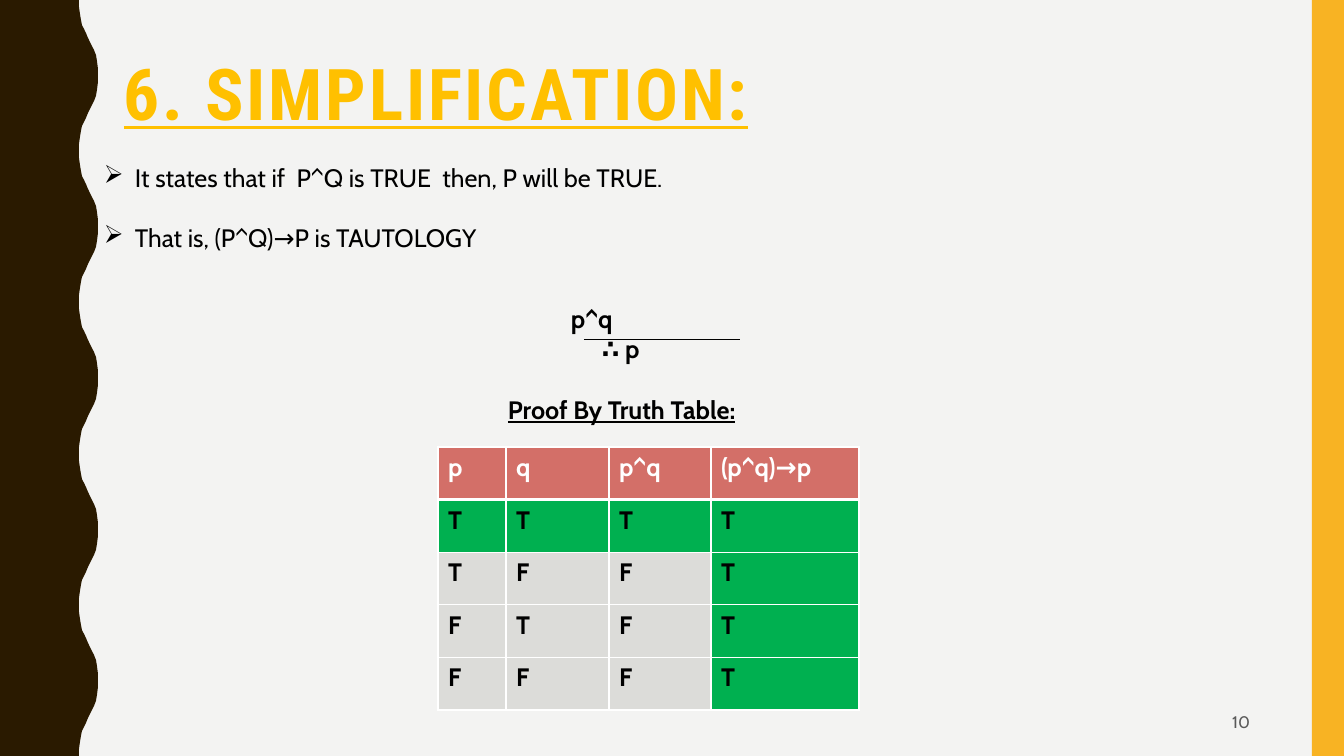
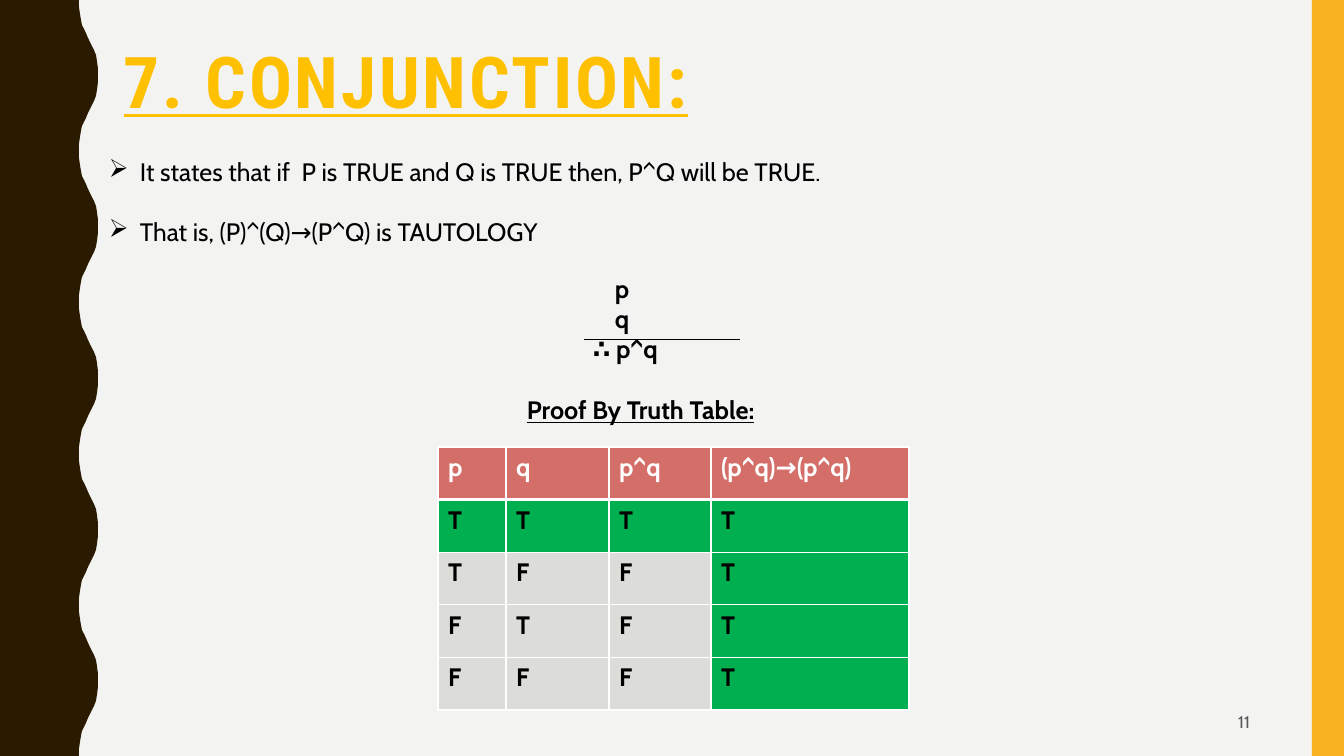
from dataclasses import dataclass

from lxml.etree import SubElement
from pptx import Presentation
from pptx.dml.color import RGBColor as RGB
from pptx.enum.shapes import MSO_CONNECTOR, MSO_SHAPE
from pptx.enum.text import MSO_ANCHOR, PP_ALIGN
from pptx.oxml.ns import qn
from pptx.util import Pt

EMU_PER_PX = 914400 / 100.8
WIDTH, HEIGHT = 1344, 756


@dataclass(frozen=True)
class Theme:
    paper: RGB = RGB(0xF3, 0xF3, 0xF2)
    wave: RGB = RGB(0x2A, 0x1A, 0x00)
    band: RGB = RGB(0xF8, 0xB3, 0x23)
    title: RGB = RGB(0xFF, 0xC0, 0x00)
    text: RGB = RGB(0x00, 0x00, 0x00)
    number: RGB = RGB(0x59, 0x59, 0x59)
    header: RGB = RGB(0xD3, 0x6F, 0x68)
    marked: RGB = RGB(0x00, 0xB0, 0x50)
    plain: RGB = RGB(0xDC, 0xDC, 0xD9)
    white: RGB = RGB(0xFF, 0xFF, 0xFF)
    title_font: str = "Roboto Condensed"
    body_font: str = "Cabin"
    title_size: int = 51
    body_size: int = 18
    number_size: int = 12


THEME = Theme()

# One half of a wave as (x, y); the other half mirrors it
HALF_WAVE = [(79, 0), (79, 7), (80, 14), (81, 20), (82, 25), (84, 29), (86, 33), (88, 38),
             (90, 42), (92, 46), (94, 50), (96, 55), (97, 61), (98, 69), (98, 76)]
WAVE_COUNT = 5
WAVE_HEIGHT = HEIGHT / WAVE_COUNT

BULLET_INDENT = 31
PROOF_INDENT = 163
COLUMN_WIDTHS = [68, 103, 102]
TRUTH_ROWS = ["TTTT", "TFFT", "FTFT", "FFFT"]

# Argument lines are (indent, text)
RULES = [
    dict(number="10", title="6. SIMPLIFICATION:", title_top=54, bullets_at=(94, 127),
         bullets=["It states that if  P^Q is TRUE  then, P will be TRUE.",
                  "That is, (P^Q)→P is TAUTOLOGY"],
         argument_at=(335, 298), argument=[(226, "p^q"), (257, "∴ p")],
         conclusion="(p^q)→p", conclusion_width=148),
    dict(number="11", title="7. CONJUNCTION:", title_top=42, bullets_at=(99, 121),
         bullets=["It states that if  P is TRUE and Q is TRUE then, P^Q will be TRUE.",
                  "That is, (P)^(Q)→(P^Q) is TAUTOLOGY"],
         argument_at=(354, 268), argument=[(251, "p"), (251, "q"), (229, "∴ p^q")],
         conclusion="(p^q)→(p^q)", conclusion_width=198),
]


def px(length):
    return round(length * EMU_PER_PX)


def add_text(slide, box, lines, color=THEME.text, size=THEME.body_size,
             font=THEME.body_font, bold=False):
    """Add a wrapping text box with one paragraph per line; return its text frame."""
    frame = slide.shapes.add_textbox(*map(px, box)).text_frame
    frame.word_wrap = True
    frame.text = "\n".join(lines)
    for paragraph in frame.paragraphs:
        paragraph.font.name = font
        paragraph.font.size = Pt(size)
        paragraph.font.bold = bold
        paragraph.font.color.rgb = color
    return frame


presentation = Presentation()
presentation.slide_width, presentation.slide_height = px(WIDTH), px(HEIGHT)
background = presentation.slide_master.background.fill
background.solid()
background.fore_color.rgb = THEME.paper

wave_points = []
for wave in range(WAVE_COUNT):
    top = wave * WAVE_HEIGHT
    wave_points += [(x, top + y) for x, y in HALF_WAVE]
    wave_points += [(x, top + WAVE_HEIGHT - y) for x, y in reversed(HALF_WAVE)]

for rule in RULES:
    slide = presentation.slides.add_slide(presentation.slide_layouts[6])

    # Side decoration
    builder = slide.shapes.build_freeform(0, 0, scale=EMU_PER_PX)
    builder.add_line_segments(wave_points + [(0, HEIGHT)], close=True)
    wavy_edge = builder.convert_to_shape()
    band = slide.shapes.add_shape(MSO_SHAPE.RECTANGLE, px(1312), 0, px(32), px(HEIGHT))
    for shape, color in [(wavy_edge, THEME.wave), (band, THEME.band)]:
        shape.shadow.inherit = False
        shape.fill.solid()
        shape.fill.fore_color.rgb = color
        shape.line.fill.background()

    # Title and slide number
    title = add_text(slide, (114, rule["title_top"], 940, 99), [rule["title"]],
                     THEME.title, THEME.title_size, THEME.title_font, bold=True)
    paragraph = title.paragraphs[0]
    paragraph.line_spacing = 0.9
    paragraph.font.underline = True
    paragraph.runs[0].font._element.set("spc", "200")

    number = add_text(slide, (950, 703, 310, 38), [rule["number"]],
                      THEME.number, THEME.number_size)
    number.vertical_anchor = MSO_ANCHOR.MIDDLE
    number.paragraphs[0].alignment = PP_ALIGN.RIGHT

    # Statement of the rule
    bullets = add_text(slide, (*rule["bullets_at"], 1233, 132), rule["bullets"])
    for paragraph in bullets.paragraphs:
        paragraph.line_spacing = 2.0
        properties = paragraph._p.get_or_add_pPr()
        properties.set("marL", str(px(BULLET_INDENT)))
        properties.set("indent", str(-px(BULLET_INDENT)))
        bullet = SubElement(properties, qn("a:buChar"), char="➢")
        properties.find(qn("a:defRPr")).addprevious(bullet)

    # Argument form, then the heading of the table
    lines = rule["argument"] + [(PROOF_INDENT, "Proof By Truth Table:")]
    left, top = rule["argument_at"]
    argument = add_text(slide, (left, top, 670, 430 - top), [text for _, text in lines], bold=True)
    for paragraph, (indent, _) in zip(argument.paragraphs, lines):
        paragraph._p.get_or_add_pPr().set("marL", str(px(indent)))
    paragraph.space_before = Pt(22)
    paragraph.font.underline = True

    # Truth table
    widths = COLUMN_WIDTHS + [rule["conclusion_width"]]
    rows = [["p", "q", "p^q", rule["conclusion"]], *TRUTH_ROWS]
    table = slide.shapes.add_table(len(rows), len(widths), px(438), px(447),
                                   px(sum(widths)), px(263)).table
    table.first_row = table.horz_banding = False
    for column, width in zip(table.columns, widths):
        column.width = px(width)
    for row_index, row in enumerate(rows):
        for column_index, text in enumerate(row):
            cell = table.cell(row_index, column_index)
            cell.text = text
            is_header = row_index == 0
            is_marked = row_index == 1 or column_index == len(widths) - 1
            font = cell.text_frame.paragraphs[0].font
            font.name, font.size, font.bold = THEME.body_font, Pt(THEME.body_size), True
            font.color.rgb = THEME.white if is_header else THEME.text
            borders = cell._tc.get_or_add_tcPr()
            for side in ("lnL", "lnR", "lnT", "lnB"):
                under_header = (is_header and side == "lnB") or (row_index == 1 and side == "lnT")
                line = SubElement(borders, qn(f"a:{side}"), w=str(Pt(3 if under_header else 1)))
                SubElement(SubElement(line, qn("a:solidFill")), qn("a:srgbClr"),
                           val=str(THEME.white))
            cell.fill.solid()
            cell.fill.fore_color.rgb = (THEME.header if is_header
                                        else THEME.marked if is_marked else THEME.plain)

    # Rule between premises and conclusion
    divider = slide.shapes.add_connector(MSO_CONNECTOR.STRAIGHT, px(584), px(339), px(740), px(339))
    divider.line.color.rgb = THEME.text
    divider.line.width = Pt(0.5)
    SubElement(divider._element.spPr, qn("a:effectLst"))

presentation.save("out.pptx")
